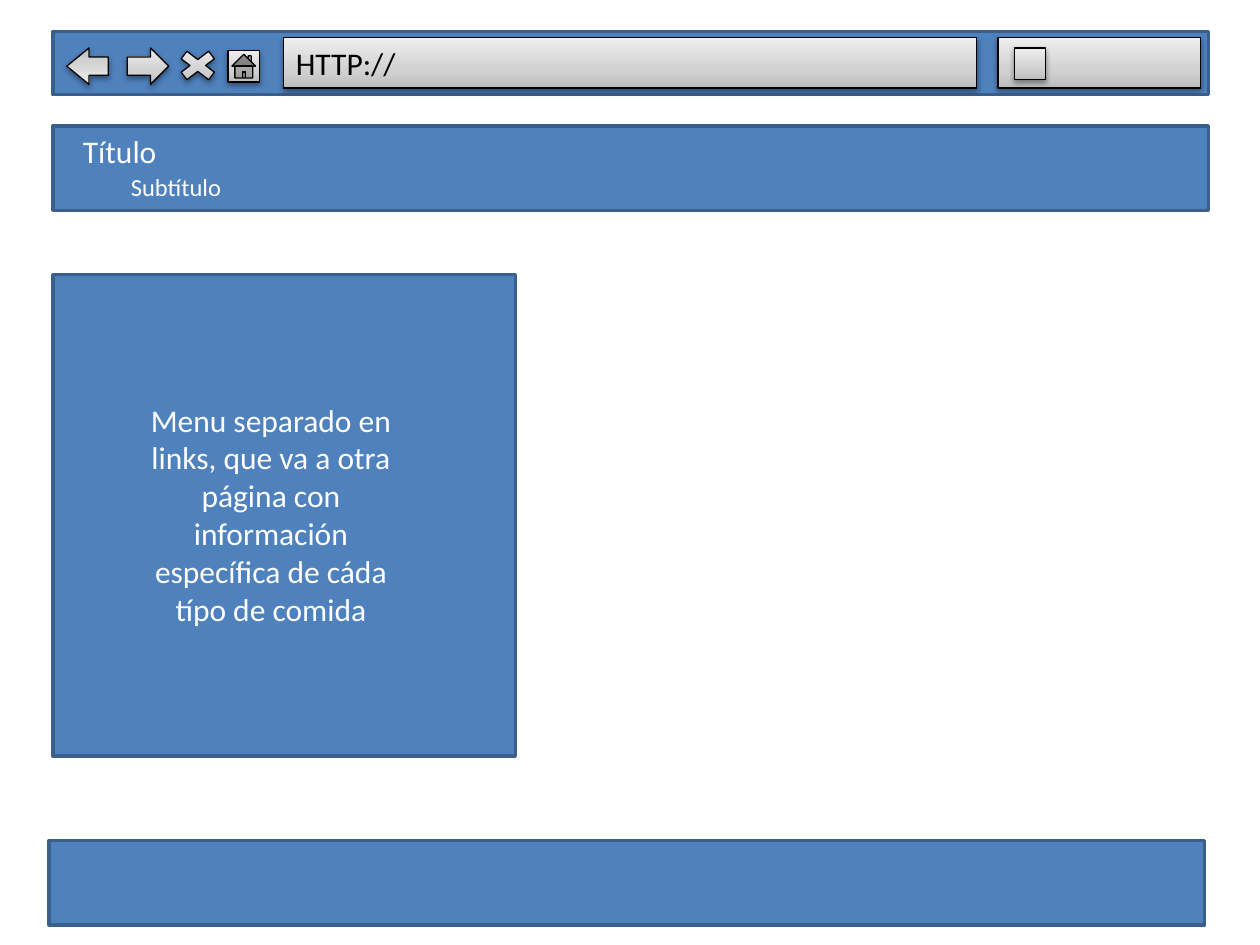
from pptx import Presentation
from pptx.dml.color import RGBColor
from pptx.enum.shapes import MSO_SHAPE
from pptx.enum.text import MSO_ANCHOR, PP_ALIGN
from pptx.oxml import parse_xml
from pptx.oxml.ns import nsdecls
from pptx.util import Inches, Pt

BLUE = RGBColor(0x4F, 0x81, 0xBD)
DARK_BLUE = RGBColor(0x3A, 0x5F, 0x8C)
BLACK = RGBColor(0, 0, 0)
WHITE = RGBColor(0xFF, 0xFF, 0xFF)
RECTANGLE = MSO_SHAPE.RECTANGLE
LEFT, CENTER = PP_ALIGN.LEFT, PP_ALIGN.CENTER
TOP = MSO_ANCHOR.TOP

GRAY_STOPS = ((0, "BDBDBD"), (35, "D1D1D1"), (100, "EEEEEE"))
GRADIENT = (
    f'<a:gradFill {nsdecls("a")} rotWithShape="1"><a:gsLst>'
    + "".join(
        f'<a:gs pos="{position * 1000}"><a:srgbClr val="{color}"/></a:gs>'
        for position, color in GRAY_STOPS
    )
    + '</a:gsLst><a:lin ang="16200000" scaled="0"/></a:gradFill>'
)
SHADOW = (
    f'<a:outerShdw {nsdecls("a")} blurRad="{Pt(3.1)}" dist="{Pt(1.6)}" '
    'dir="5400000" rotWithShape="0"><a:srgbClr val="000000">'
    '<a:alpha val="38000"/></a:srgbClr></a:outerShdw>'
)


def add_outline(slide, kind, box, color, width):
    """Add a preset shape with a plain outline and no inherited shadow."""
    shape = slide.shapes.add_shape(kind, *map(Inches, box))
    shape.shadow.inherit = False
    shape.line.color.rgb = color
    shape.line.width = Pt(width)
    return shape


def add_panel(slide, box):
    """Add a blue page panel."""
    panel = add_outline(slide, RECTANGLE, box, DARK_BLUE, 2)
    panel.fill.solid()
    panel.fill.fore_color.rgb = BLUE


def add_control(slide, kind, box):
    """Add a gray browser control with a gradient and a soft shadow."""
    control = add_outline(slide, kind, box, BLACK, 0.75)
    properties = control.element.spPr
    properties.insert(2, parse_xml(GRADIENT))
    properties.find("{*}effectLst").append(parse_xml(SHADOW))
    return control


def write_text(shape, text, size, color, alignment=LEFT):
    """Write one wrapped paragraph into a shape."""
    frame = shape.text_frame
    frame.word_wrap = True
    frame.vertical_anchor = TOP
    frame.text = text
    paragraph = frame.paragraphs[0]
    paragraph.alignment = alignment
    font = paragraph.runs[0].font
    font.name = "Calibri"
    font.size = Pt(size)
    font.color.rgb = color


def add_label(slide, box, text, size, alignment=LEFT):
    """Add a white text label."""
    label = slide.shapes.add_textbox(*map(Inches, box))
    write_text(label, text, size, WHITE, alignment)


def add_browser_bar(slide, box):
    """Add the browser bar with its buttons, address and search fields."""
    left, top, _, _ = box
    add_panel(slide, box)
    address = add_control(slide, RECTANGLE, (left + 1.83, top + 0.05, 5.5, 0.4))
    write_text(address, "HTTP://", 18, BLACK)
    add_control(slide, MSO_SHAPE.RIGHT_ARROW, (left + 0.59, top + 0.13, 0.33, 0.29))
    back = add_control(slide, MSO_SHAPE.RIGHT_ARROW, (left + 0.11, top + 0.13, 0.33, 0.29))
    back.rotation = 180
    back.adjustments[1] = 0.61
    add_control(slide, MSO_SHAPE.MATH_MULTIPLY, (left + 0.94, top + 0.11, 0.42, 0.32))
    add_control(slide, MSO_SHAPE.ACTION_BUTTON_HOME, (left + 1.39, top + 0.15, 0.25, 0.25))
    add_control(slide, RECTANGLE, (left + 7.5, top + 0.05, 1.61, 0.4))
    add_control(slide, MSO_SHAPE.ACTION_BUTTON_CUSTOM, (left + 7.63, top + 0.13, 0.25, 0.25))


def add_header(slide, box):
    """Add the page header with title and subtitle."""
    left, top, _, _ = box
    add_panel(slide, box)
    add_label(slide, (left + 0.14, top, 1.24, 0.4), "Título", 18)
    add_label(slide, (left + 0.52, top + 0.32, 1, 0.34), "Subtítulo", 14)


def add_menu(slide, box):
    """Add the menu panel with its description."""
    left, top, _, height = box
    add_panel(slide, box)
    description = (
        "Menu separado en links, que va a otra página con información "
        "específica de cáda típo de comida"
    )
    text_height = 1.92
    text_top = top + (height - text_height) / 2
    add_label(slide, (left + 0.52, text_top, 2.42, text_height), description, 18, CENTER)


def main():
    """Build the web page wireframe."""
    presentation = Presentation()
    presentation.slide_width = Inches(10)
    presentation.slide_height = Inches(7.5)
    slide = presentation.slides.add_slide(presentation.slide_layouts[6])
    add_browser_bar(slide, (0.42, 0.25, 9.17, 0.5))
    add_header(slide, (0.42, 1, 9.17, 0.67))
    add_menu(slide, (0.42, 2.18, 3.67, 3.82))
    add_panel(slide, (0.39, 6.67, 9.17, 0.67))
    presentation.save("out.pptx")


if __name__ == "__main__":
    main()
